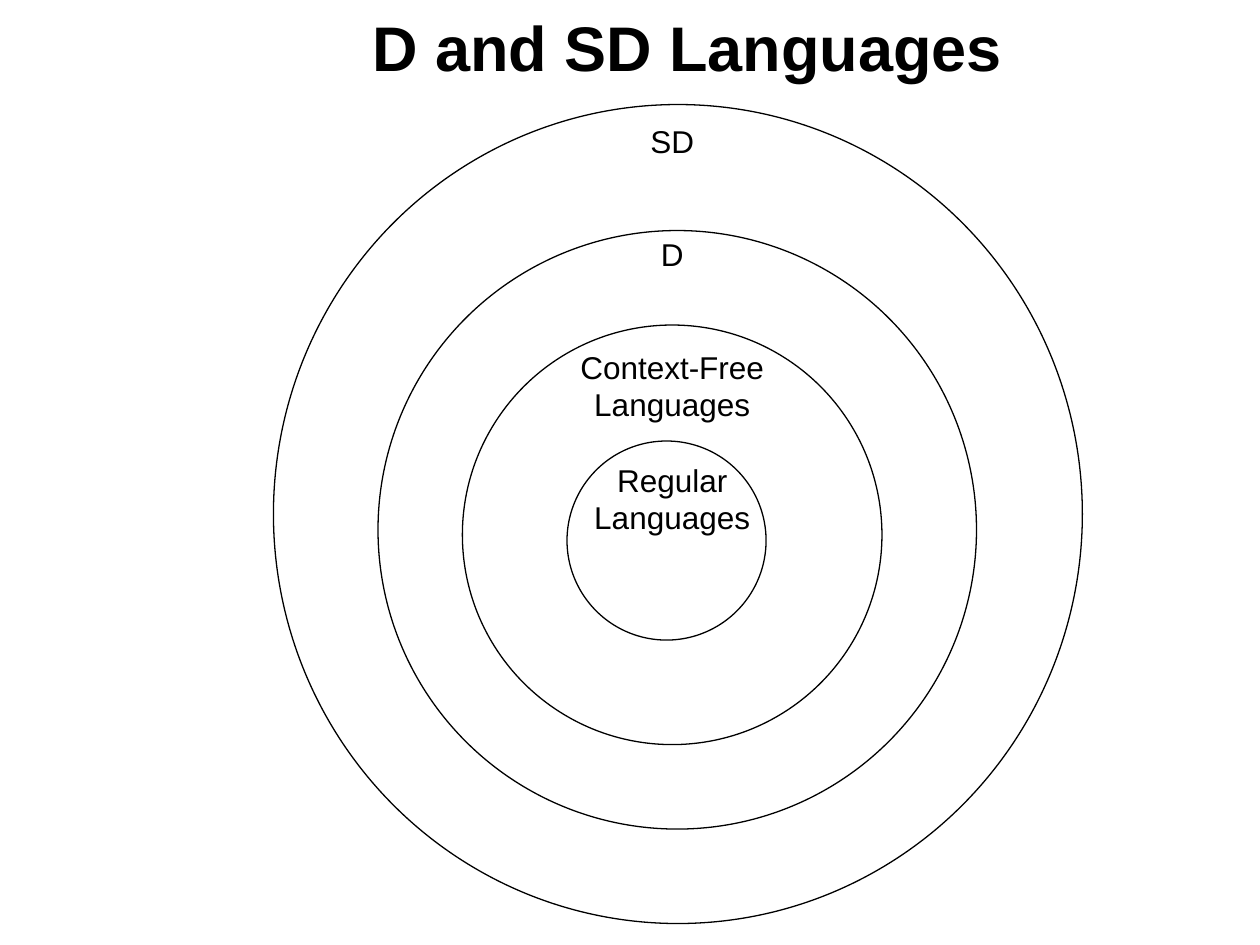
from dataclasses import dataclass
from pptx import Presentation
from pptx import util as u
from pptx.dml.color import RGBColor
from pptx.enum import shapes, text
from pptx.oxml.xmlchemy import OxmlElement

COLORS = {"ink": "000000"}
PITCH = 21.5


@dataclass
class Ring:
    left: float
    top: float
    width: float
    height: float


@dataclass
class Label:
    words: str
    gap: int = 0


RINGS = [
    Ring(4.5, 3.5, 1.58, 1.58),
    Ring(3.67, 2.58, 3.33, 3.33),
    Ring(3, 1.83, 4.75, 4.75),
    Ring(2.17, 0.83, 6.42, 6.5),
]
LABELS = [
    Label("SD"),
    Label("D", 2),
    Label("Context-Free", 2),
    Label("Languages"),
    Label("Regular", 1),
    Label("Languages"),
]


def ink() -> RGBColor:
    return RGBColor.from_string(COLORS["ink"])


def apply(target, values: dict) -> None:
    for name, value in values.items():
        setattr(target, name, value)


def place(shape, left: float, top: float, width: float, height: float) -> None:
    apply(shape, {"left": u.Inches(left), "top": u.Inches(top),
                  "width": u.Inches(width), "height": u.Inches(height)})


def set_frame(frame, anchor) -> None:
    apply(frame, {"word_wrap": True, "auto_size": text.MSO_AUTO_SIZE.NONE,
                  "vertical_anchor": anchor})


def write(para, words: str, size: int, bold: bool = False) -> None:
    run = para.add_run()
    run.text = words
    apply(run.font, {"name": "Arial", "size": u.Pt(size), "bold": bold})
    run.font.color.rgb = ink()
    para.alignment = text.PP_ALIGN.CENTER


def add_title(slide, words: str) -> None:
    title = slide.shapes.title
    place(title, 0.83, 0.08, 9.25, 0.58)
    set_frame(title.text_frame, text.MSO_ANCHOR.MIDDLE)
    write(title.text_frame.paragraphs[0], words, 36, True)


def add_labels(slide, labels: list[Label]) -> None:
    body = slide.placeholders[1]
    place(body, 0.92, 0.92, 8.83, 6.4)
    frame = body.text_frame
    set_frame(frame, text.MSO_ANCHOR.TOP)
    for i, label in enumerate(labels):
        para = frame.add_paragraph() if i else frame.paragraphs[0]
        write(para, label.words, 18)
        apply(para, {"line_spacing": u.Pt(PITCH), "space_after": u.Pt(0),
                     "space_before": u.Pt(label.gap * PITCH)})
        props = para._p.get_or_add_pPr()
        props.set("marL", "0")
        props.set("indent", "0")
        props.append(OxmlElement("a:buNone"))


def add_ring(slide, ring: Ring) -> None:
    oval = slide.shapes.add_shape(
        shapes.MSO_SHAPE.OVAL, u.Inches(ring.left), u.Inches(ring.top),
        u.Inches(ring.width), u.Inches(ring.height))
    oval.shadow.inherit = False
    oval.fill.background()
    oval.line.color.rgb = ink()
    oval.line.width = u.Pt(0.75)


def main() -> None:
    deck = Presentation()
    apply(deck, {"slide_width": u.Inches(10), "slide_height": u.Inches(7.5)})
    slide = deck.slides.add_slide(deck.slide_layouts[1])
    add_title(slide, "D and SD Languages")
    add_labels(slide, LABELS)
    for ring in RINGS:
        add_ring(slide, ring)
    deck.save("out.pptx")


if __name__ == "__main__":
    main()
